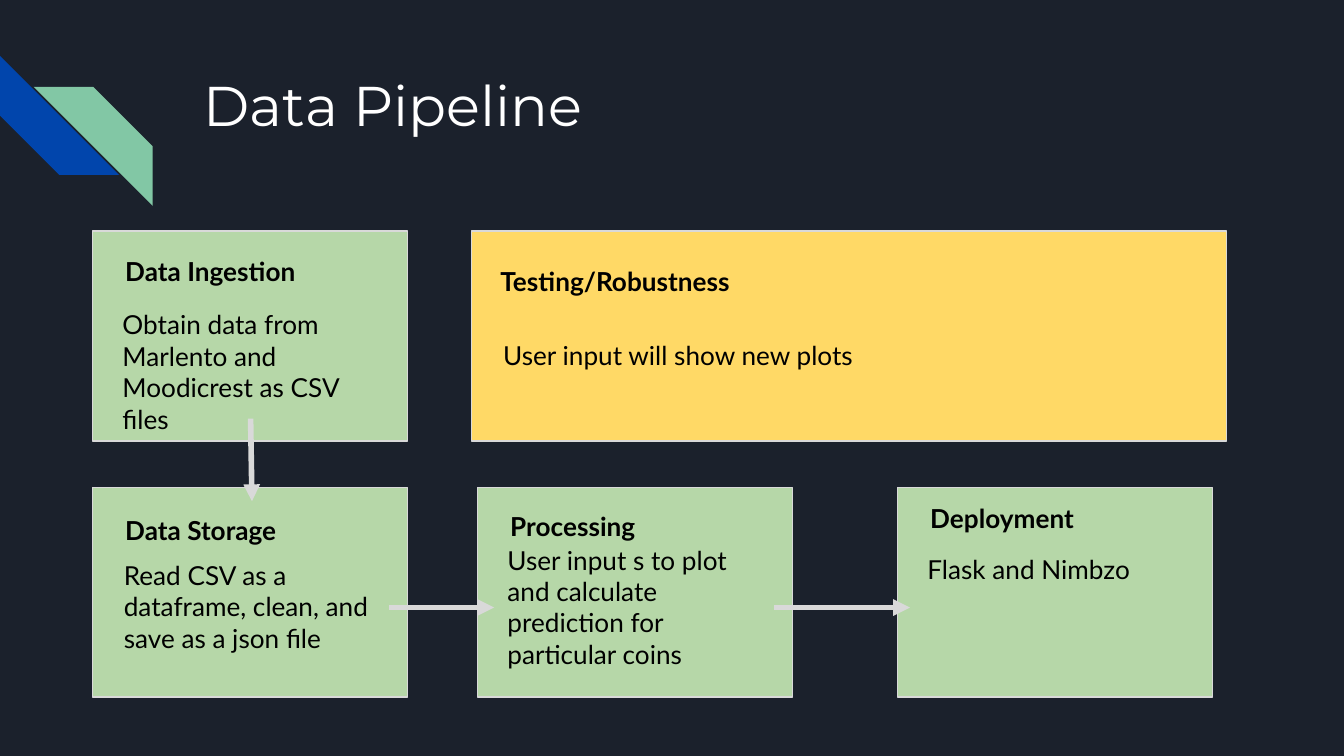
from lxml import etree
from pptx import Presentation
from pptx import util as u
from pptx.dml import color
from pptx.enum import shapes, text
from pptx.oxml import ns

PX = 9525
BLACK, WHITE, GREY = "000000", "FFFFFF", "D9D9D9"
GREEN, YELLOW = "B6D7A8", "FFD966"


def px(*nums):
    return [u.Emu(n * PX) for n in nums]


def rgb(code):
    return color.RGBColor.from_string(code)


class Deck:
    font = "Lato"
    size = 14
    inset = u.Inches(0.1)

    def __init__(self, wide, high, back):
        self.prs = Presentation()
        self.prs.slide_width, self.prs.slide_height = px(wide, high)
        self.slide = self.prs.slides.add_slide(self.prs.slide_layouts[6])
        fill = self.slide.background.fill
        fill.solid()
        fill.fore_color.rgb = rgb(back)

    def shape(self, kind, area, fill, line=None, turn=0):
        item = self.slide.shapes.add_shape(kind, *px(*area))
        item.shadow.inherit = False
        item.rotation = turn
        item.fill.solid()
        item.fill.fore_color.rgb = rgb(fill)
        if line:
            item.line.color.rgb = rgb(line)
            item.line.width = u.Pt(0.75)
        else:
            item.line.fill.background()

    def stripe(self, area, fill, turn):
        self.shape(shapes.MSO_SHAPE.DIAGONAL_STRIPE, area, fill, turn=turn)

    def box(self, area, fill):
        self.shape(shapes.MSO_SHAPE.RECTANGLE, area, fill, GREY)

    def label(self, words, area, bold=False, size=None, font=None, ink=BLACK):
        frame = self.slide.shapes.add_textbox(*px(*area)).text_frame
        frame.word_wrap = True
        frame.vertical_anchor = text.MSO_ANCHOR.TOP
        frame.margin_left = frame.margin_right = self.inset
        frame.margin_top = frame.margin_bottom = self.inset
        frame.text = words
        for run in frame.paragraphs[0].runs:
            run.font.name = font or self.font
            run.font.size = u.Pt(size or self.size)
            run.font.bold = bold
            run.font.color.rgb = rgb(ink)

    def arrow(self, start, end):
        line = self.slide.shapes.add_connector(
            shapes.MSO_CONNECTOR.STRAIGHT, *px(*start, *end))
        line.line.color.rgb = rgb(GREY)
        line.line.width = u.Pt(3)
        props = line._element.spPr
        tip = etree.SubElement(props.get_or_add_ln(), ns.qn("a:tailEnd"))
        tip.set("type", "triangle")
        etree.SubElement(props, ns.qn("a:effectLst"))


def main():
    deck = Deck(960, 540, "1B212C")
    deck.stripe((0, 40, 85, 85), "0145AC", 270)
    deck.stripe((24, 62, 85, 85), "82C7A5", 90)
    deck.label("Data Pipeline", (136, 41, 739, 96),
               size=30, font="Montserrat", ink=WHITE)

    steps = [
        ((66, 165, 225), GREEN,
         "Data Ingestion", (80, 173, 199, 42),
         "Obtain data from Marlento and Moodicrest as CSV files",
         (78, 211, 202, 87)),
        ((66, 348, 225), GREEN,
         "Data Storage", (80, 358, 202, 42),
         "Read CSV as a dataframe, clean, and save as a json file",
         (79, 390, 199, 87)),
        ((341, 348, 225), GREEN,
         "Processing", (355, 355, 199, 42),
         "User input s to plot and calculate prediction for particular coins",
         (353, 379, 199, 109)),
        ((641, 348, 225), GREEN,
         "Deployment", (655, 349, 199, 42),
         "Flask and Nimbzo", (653, 386, 199, 42)),
        ((337, 165, 539), YELLOW,
         "Testing/Robustness", (348, 180, 506, 42),
         "User input will show new plots", (350, 233, 503, 42)),
    ]
    for box, fill, head, top, body, low in steps:
        deck.box((*box, 150), fill)
        deck.label(body, low)
        deck.label(head, top, bold=True)

    deck.arrow((179, 299), (180, 358))
    deck.arrow((278, 434), (353, 434))
    deck.arrow((553, 434), (650, 434))
    deck.prs.save("out.pptx")


if __name__ == "__main__":
    main()
